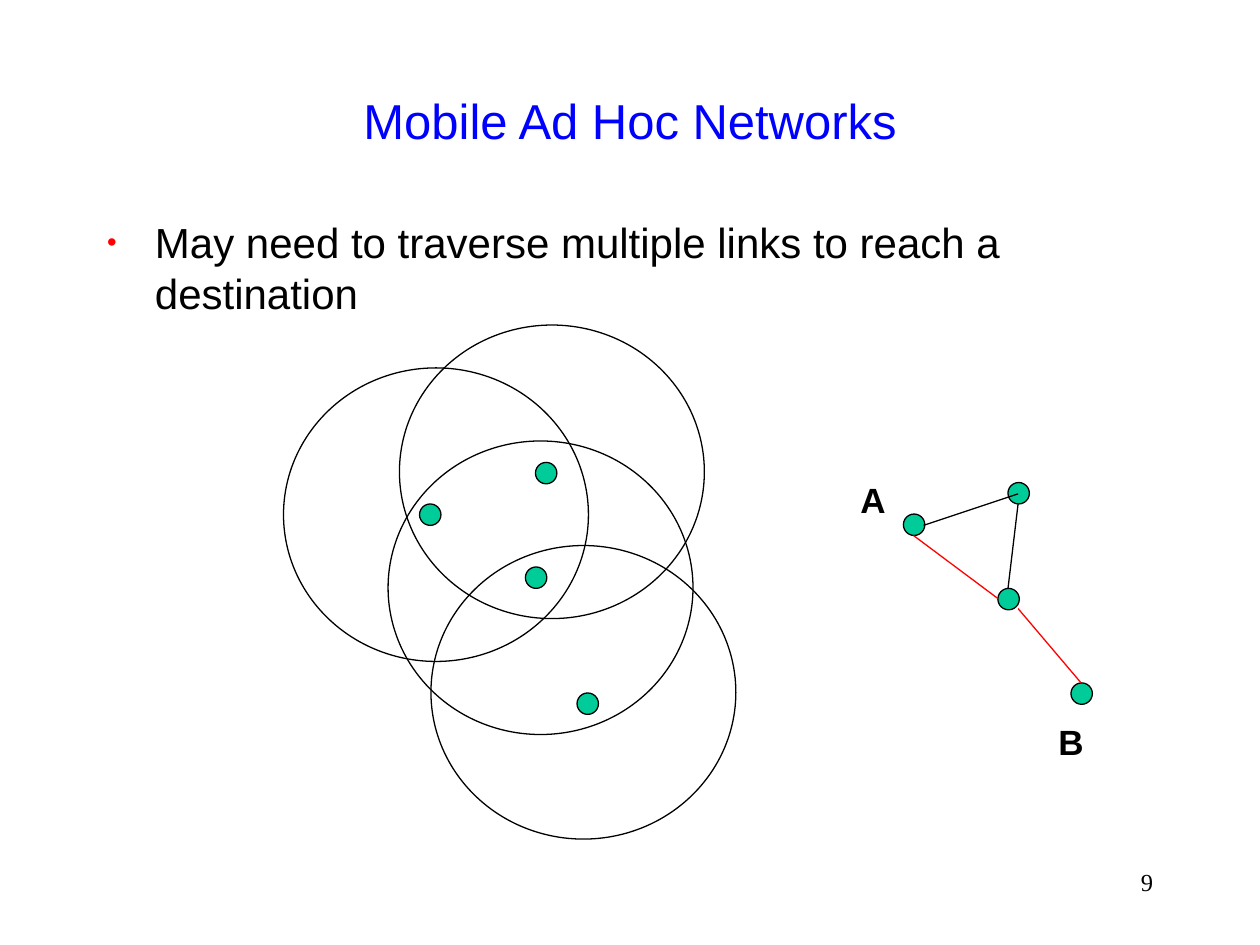
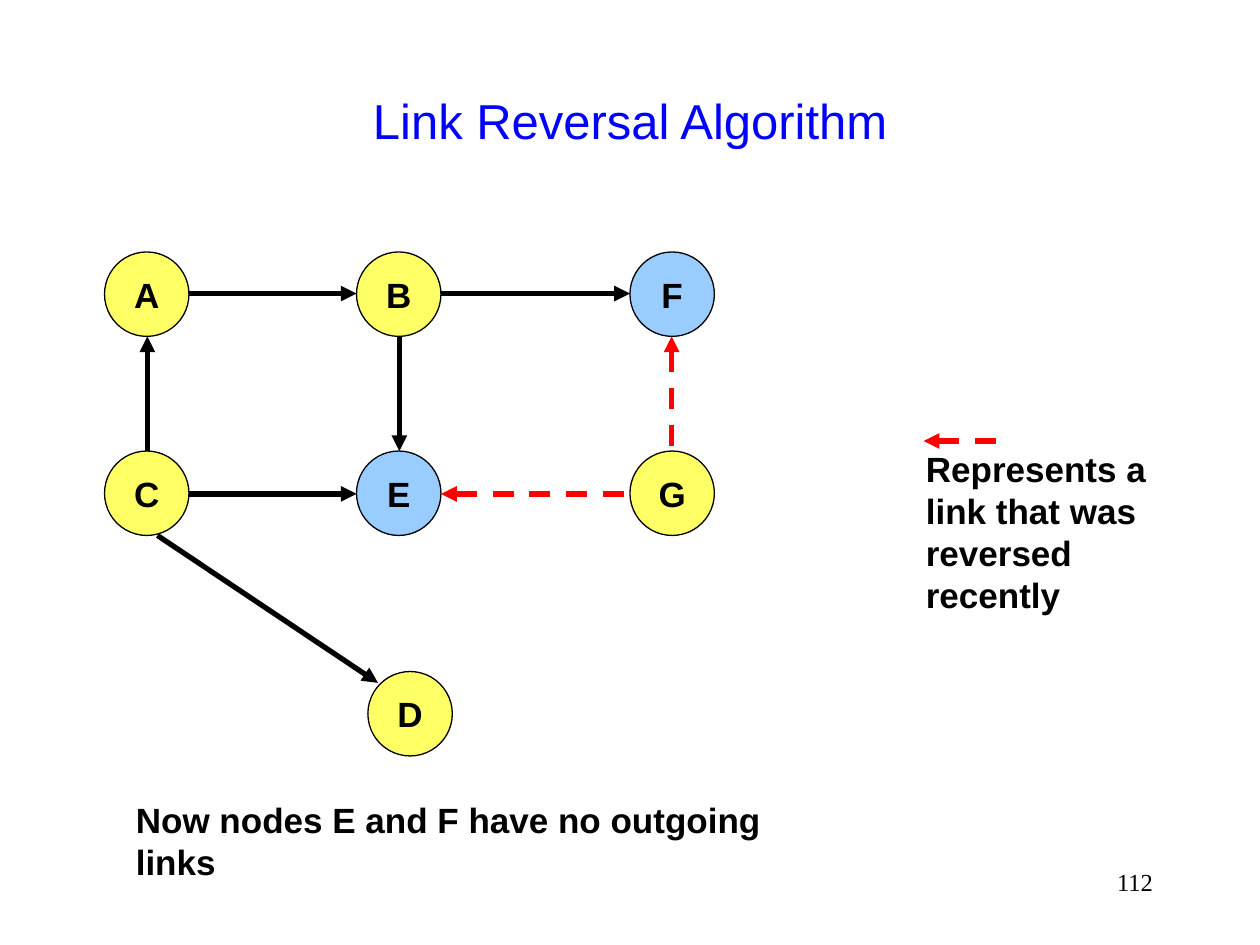
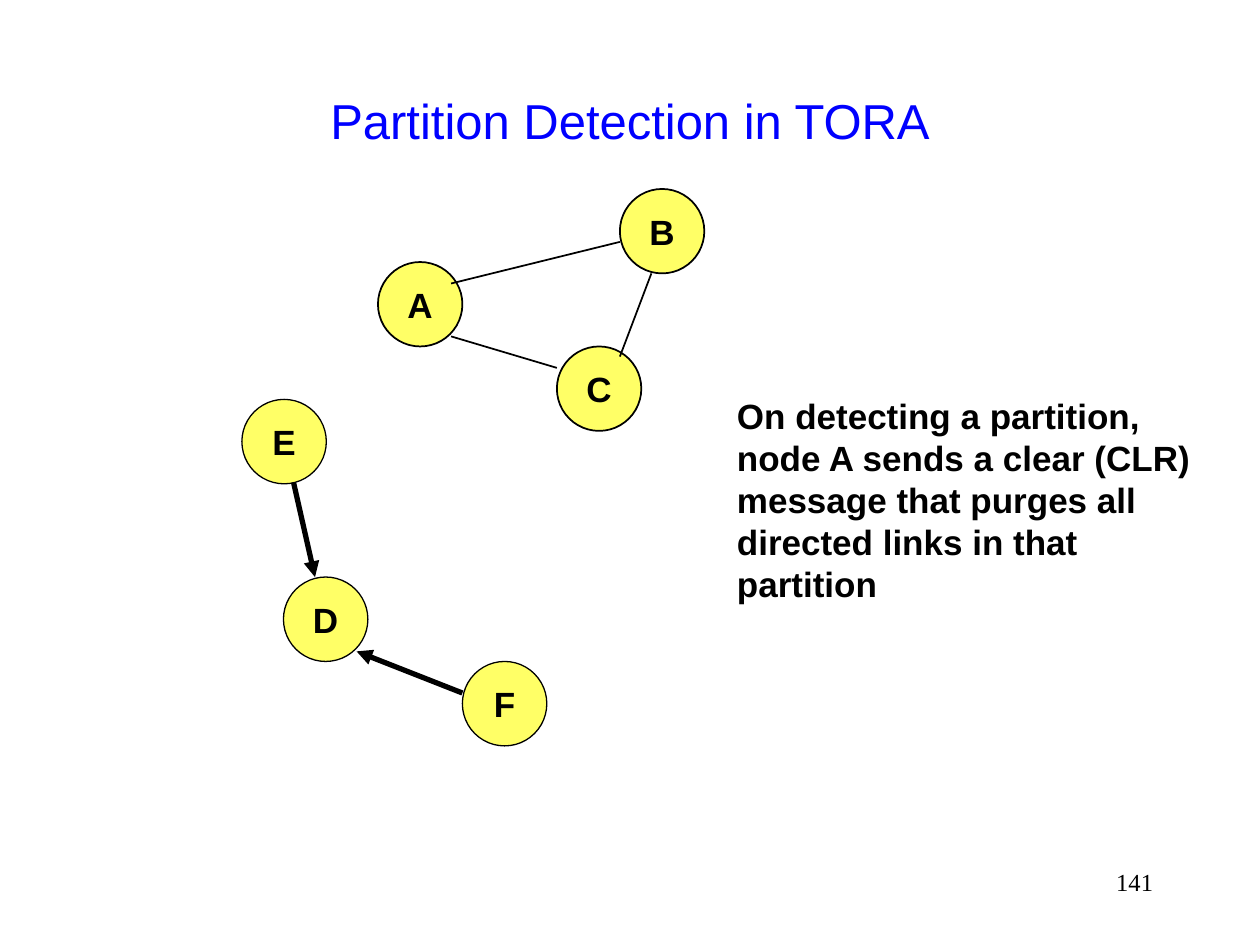
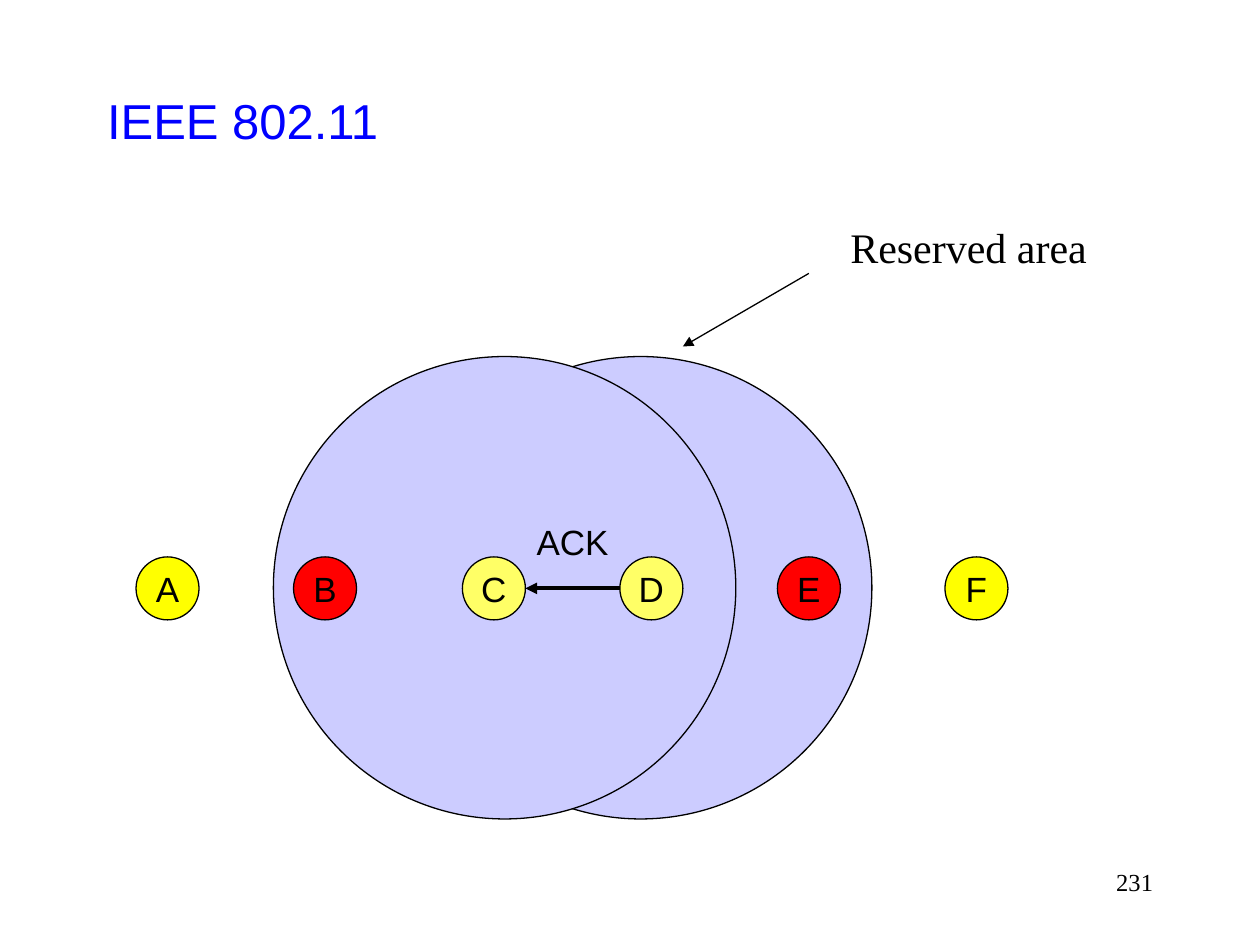
from dataclasses import dataclass

from lxml import etree
from pptx import Presentation
from pptx.dml.color import RGBColor
from pptx.enum.dml import MSO_LINE
from pptx.enum.shapes import MSO_CONNECTOR, MSO_SHAPE
from pptx.enum.text import MSO_ANCHOR, MSO_AUTO_SIZE, PP_ALIGN
from pptx.oxml.ns import qn
from pptx.util import Inches, Pt

LEFT, CENTER, RIGHT = PP_ALIGN.LEFT, PP_ALIGN.CENTER, PP_ALIGN.RIGHT
TOP, MIDDLE = MSO_ANCHOR.TOP, MSO_ANCHOR.MIDDLE
NO_FIT, GROW = MSO_AUTO_SIZE.NONE, MSO_AUTO_SIZE.SHAPE_TO_FIT_TEXT
OVAL, STRAIGHT, DASH = MSO_SHAPE.OVAL, MSO_CONNECTOR.STRAIGHT, MSO_LINE.DASH
START, END = "a:headEnd", "a:tailEnd"
TITLE_AND_BODY, TITLE_ONLY = 1, 5


@dataclass(frozen=True)
class Theme:
    sans: str = "Arial"
    serif: str = "Times New Roman"
    # Colours
    title: str = "0000FF"
    ink: str = "000000"
    red: str = "FF0000"
    dot: str = "00CC99"
    node: str = "FFFF66"
    sink: str = "99CCFF"
    idle: str = "FFFF00"
    area: str = "CCCCFF"
    background: str = "FFFFFF"
    # Type sizes and line widths in points
    title_size: int = 28
    body_size: int = 24
    label_size: int = 20
    number_size: int = 14
    thin: float = 0.75
    medium: float = 1
    bold_line: float = 2.25
    thick: float = 3


class Deck:
    def __init__(self, theme):
        self.theme = theme
        self.prs = Presentation()
        self.prs.slide_width, self.prs.slide_height = Inches(10), Inches(7.5)
        self.s = None

    # Shared slide frame: title and page number
    def slide(self, title, number, layout=TITLE_ONLY, align=CENTER):
        t = self.theme
        self.s = self.prs.slides.add_slide(self.prs.slide_layouts[layout])
        sp = self.s.shapes.title
        self.place(sp, 0.75, 0.33, 8.5, 1.25)
        self.fill_text(sp.text_frame, [title], t.title_size, t.title, align=align, anchor=MIDDLE)
        self.text([str(number)], 7.17, 6.83, 2.08, 0.5, size=t.number_size,
                  font=t.serif, align=RIGHT, wrap=True)

    def place(self, sp, x, y, w, h):
        sp.left, sp.top, sp.width, sp.height = map(Inches, (x, y, w, h))

    def fill_text(self, tf, lines, size, color=None, font=None, bold=False,
                  align=LEFT, anchor=TOP, wrap=True, fit=NO_FIT):
        tf.word_wrap, tf.auto_size, tf.vertical_anchor = wrap, fit, anchor
        for i, line in enumerate(lines):
            p = tf.add_paragraph() if i else tf.paragraphs[0]
            p.alignment = align
            p.space_before = Pt(0)
            r = p.add_run()
            r.text = line
            r.font.name, r.font.size, r.font.bold = font or self.theme.sans, Pt(size), bold
            r.font.color.rgb = RGBColor.from_string(color or self.theme.ink)

    def body(self, lines):
        t = self.theme
        sp = self.s.placeholders[1]
        self.place(sp, 0.75, 1.67, 8.5, 5)
        self.fill_text(sp.text_frame, lines, t.body_size)
        for p in sp.text_frame.paragraphs:
            pPr = p._p.get_or_add_pPr()
            pPr.set("marL", str(Inches(0.38)))
            pPr.set("indent", str(-Inches(0.38)))
            color = etree.SubElement(pPr, qn("a:buClr"))
            etree.SubElement(color, qn("a:srgbClr"), val=t.red)
            etree.SubElement(pPr, qn("a:buSzPct"), val="65000")
            etree.SubElement(pPr, qn("a:buFont"), typeface=t.sans)
            etree.SubElement(pPr, qn("a:buChar"), char="•")

    def text(self, lines, x, y, w, h, size=None, font=None, bold=False,
             align=LEFT, anchor=TOP, wrap=False):
        sp = self.s.shapes.add_textbox(*map(Inches, (x, y, w, h)))
        self.fill_text(sp.text_frame, lines, size or self.theme.label_size, font=font, bold=bold,
                       align=align, anchor=anchor, wrap=wrap, fit=NO_FIT if wrap else GROW)

    def ellipse(self, x, y, w, h, fill=None, weight=None):
        sp = self.s.shapes.add_shape(OVAL, *map(Inches, (x, y, w, h)))
        sp.shadow.inherit = False
        if fill:
            sp.fill.solid()
            sp.fill.fore_color.rgb = RGBColor.from_string(fill)
        else:
            sp.fill.background()
        sp.line.color.rgb = RGBColor.from_string(self.theme.ink)
        sp.line.width = Pt(weight or self.theme.thin)
        return sp

    def node(self, label, x, y, fill=None, size=0.67, weight=None, bold=True):
        sp = self.ellipse(x, y, size, size, fill or self.theme.node, weight)
        self.fill_text(sp.text_frame, [label], self.theme.label_size, bold=bold,
                       align=CENTER, anchor=MIDDLE, wrap=False)

    def line(self, start, end, weight=None, color=None, arrow=None, dash=False):
        cn = self.s.shapes.add_connector(STRAIGHT, *map(Inches, start + end))
        cn.line.color.rgb = RGBColor.from_string(color or self.theme.ink)
        cn.line.width = Pt(weight or self.theme.thin)
        if dash:
            cn.line.dash_style = DASH
        spPr = cn._element.spPr
        if arrow:
            etree.SubElement(spPr.find(qn("a:ln")), qn(arrow), type="triangle")
        etree.SubElement(spPr, qn("a:effectLst"))

    def reversed_link(self, start, end):
        self.line(start, end, self.theme.thick, self.theme.red, START, dash=True)


def ad_hoc_networks(d):
    t = d.theme
    d.slide("Mobile Ad Hoc Networks", 9, TITLE_AND_BODY)
    d.body(["May need to traverse multiple links to reach a destination"])

    # Radio ranges, then the nodes inside them and in the link graph
    ranges = [(2.25, 2.92, t.background), (3.08, 3.5, None), (3.17, 2.58, None), (3.42, 4.33, None)]
    for x, y, fill in ranges:
        d.ellipse(x, y, 2.42, 2.33, fill)
    in_range = [(3.33, 4), (4.17, 4.5), (4.25, 3.67), (4.58, 5.5)]
    in_graph = [(7.17, 4.08), (7.92, 4.67), (8, 3.83), (8.5, 5.42)]
    for x, y in in_range + in_graph:
        d.ellipse(x, y, 0.17, 0.17, t.dot)

    # Links, with the route from A to B in red
    d.line((7.33, 4.17), (8.08, 3.92))
    d.line((8, 4.67), (8.08, 4))
    d.line((7.25, 4.25), (7.92, 4.75), color=t.red)
    d.line((8.08, 4.83), (8.58, 5.42), color=t.red)
    for label, x, y in [("A", 6.73, 3.75), ("B", 8.3, 5.67)]:
        d.text([label], x, y, 0.4, 0.44, bold=True, align=CENTER)


def link_reversal(d):
    t = d.theme
    d.slide("Link Reversal Algorithm", 112)

    # Node grid, with D below it
    for row, y in [("ABF", 2), ("CEG", 3.58)]:
        for label, x in zip(row, (0.83, 2.83, 5)):
            d.node(label, x, y, t.sink if label in "EF" else t.node)
    d.node("D", 2.92, 5.33)

    # Links
    links = [
        ((1.17, 3.58), (1.17, 2.67)),
        ((3.17, 2.67), (3.17, 3.58)),
        ((1.5, 2.33), (2.83, 2.33)),
        ((3.5, 2.33), (5, 2.33)),
        ((1.5, 3.92), (2.83, 3.92)),
        ((1.25, 4.25), (3, 5.42)),
    ]
    for start, end in links:
        d.line(start, end, t.thick, arrow=END)
    d.reversed_link((5.33, 2.67), (5.33, 3.58))
    d.reversed_link((3.5, 3.92), (5, 3.92))

    # Legend and remark
    d.reversed_link((7.33, 3.5), (8, 3.5))
    d.text(["Represents a", "link that was", "reversed recently"],
           7.25, 3.67, 2.5, 1.1, bold=True, anchor=MIDDLE)
    d.text(["Now nodes E and F have no outgoing links"],
           0.98, 6.45, 5.87, 0.44, bold=True, anchor=MIDDLE)


def partition_detection(d):
    t = d.theme
    d.slide("Partition Detection in TORA", 141)

    # Cut-off partition A, B, C
    for label, x, y in [("A", 3, 2.08), ("B", 4.92, 1.5), ("C", 4.42, 2.75)]:
        d.node(label, x, y, weight=t.medium)
    for start, end in [((3.58, 2.25), (4.92, 1.92)), ((3.58, 2.67), (4.42, 2.92)),
                       ((5.17, 2.17), (4.92, 2.83))]:
        d.line(start, end, t.medium)

    # Partition with destination D
    for label, x, y in [("E", 1.92, 3.17), ("D", 2.25, 4.58), ("F", 3.67, 5.25)]:
        d.node(label, x, y)
    for start, end in [((2.33, 3.83), (2.5, 4.58)), ((3.67, 5.5), (2.83, 5.17))]:
        d.line(start, end, t.thick, arrow=END)

    d.text(["On detecting a partition,", "node A sends a clear (CLR)", "message that purges all",
            "directed links in that", "partition"],
           5.75, 3.08, 3.82, 1.77, bold=True, anchor=MIDDLE)


def reserved_area(d):
    t = d.theme
    d.slide("IEEE 802.11", 231, align=LEFT)

    # Ranges of D and C
    for x in (3.25, 2.17):
        d.ellipse(x, 2.83, 3.67, 3.67, t.area)

    # Stations on one line
    stations = [("A", 1.08, t.idle), ("B", 2.33, t.red), ("C", 3.67, t.node),
                ("D", 4.92, t.node), ("E", 6.17, t.red), ("F", 7.5, t.idle)]
    for label, x, fill in stations:
        d.node(label, x, 4.42, fill, size=0.5, bold=False)
    d.line((4.92, 4.67), (4.17, 4.67), t.bold_line, arrow=END)
    d.text(["ACK"], 4.16, 4.08, 0.77, 0.44, align=CENTER)

    # Callout
    d.line((6.42, 2.17), (5.42, 2.75), arrow=END)
    d.text(["Reserved area"], 6.65, 1.71, 2.08, 0.5, size=t.body_size, font=t.serif)


def main():
    d = Deck(Theme())
    for build in (ad_hoc_networks, link_reversal, partition_detection, reserved_area):
        build(d)
    d.prs.save("out.pptx")


if __name__ == "__main__":
    main()
